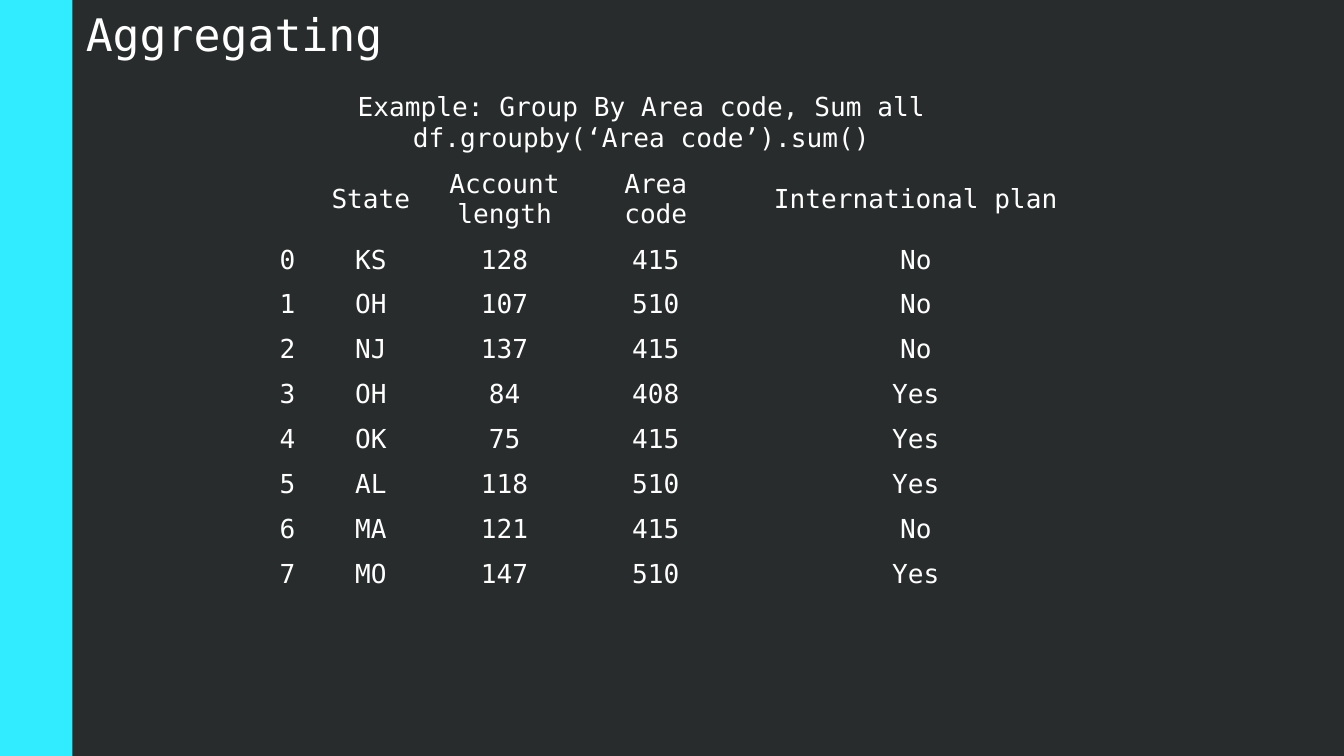
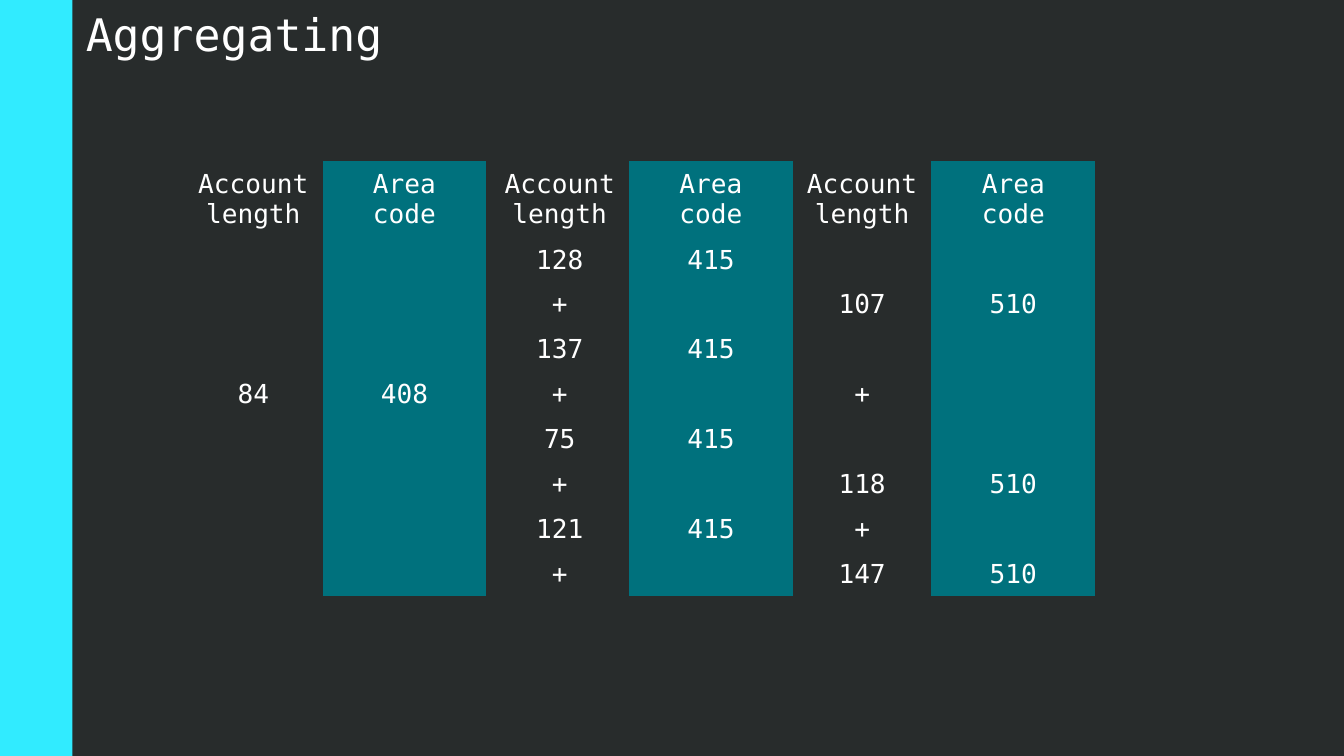
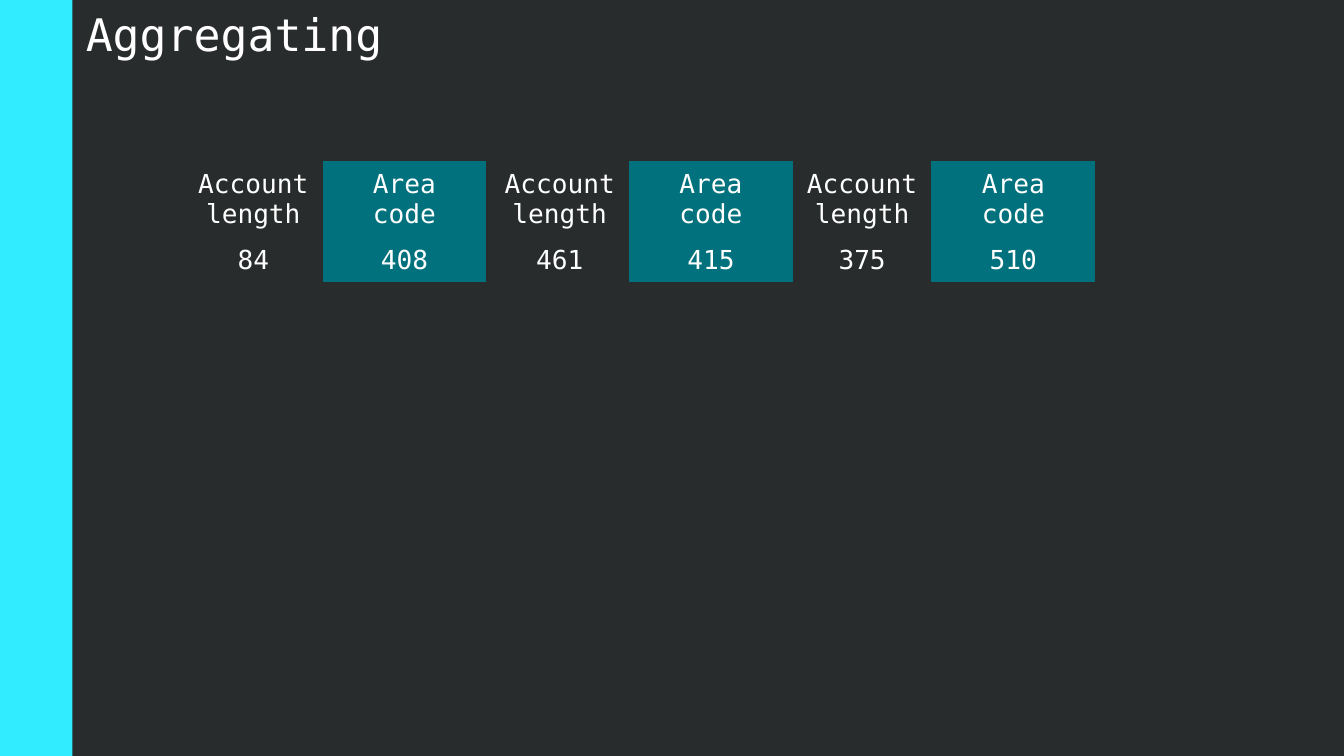
from lxml import etree
from pptx import Presentation
from pptx.dml.color import RGBColor
from pptx.enum.shapes import MSO_SHAPE
from pptx.enum.text import MSO_ANCHOR, MSO_AUTO_SIZE, PP_ALIGN
from pptx.oxml.ns import qn
from pptx.util import Inches, Pt

RECT = MSO_SHAPE.RECTANGLE
LEFT, CENTER = PP_ALIGN.LEFT, PP_ALIGN.CENTER
MIDDLE = MSO_ANCHOR.MIDDLE
GROW = MSO_AUTO_SIZE.SHAPE_TO_FIT_TEXT

DARK = RGBColor(0x28, 0x2C, 0x2C)
CYAN = RGBColor(0x31, 0xEB, 0xFF)
TEAL = RGBColor(0x00, 0x71, 0x7D)
WHITE = RGBColor(0xFF, 0xFF, 0xFF)
FONT = "DejaVu Sans Mono"
TITLE_SIZE, BODY_SIZE = 24, 14
NO_STYLE_NO_GRID = "{2D5ABB26-0587-4C30-8999-92F81FD0307C}"

SLIDE_W = 10
SLIDE_H = SLIDE_W * 9 / 16
BAND_W = 0.54
TABLE_TOP = 1.2
MIN_ROW_H = 0.25
HEADER_H, ROW_H = 0.57, 1 / 3
LENGTH_W, AREA_W = 1.03, 1.22

CUSTOMER_HEADER = ["", "State", "Account length", "Area code", "International plan"]
CUSTOMERS = [
    ("KS", 128, 415, "No"),
    ("OH", 107, 510, "No"),
    ("NJ", 137, 415, "No"),
    ("OH", 84, 408, "Yes"),
    ("OK", 75, 415, "Yes"),
    ("AL", 118, 510, "Yes"),
    ("MA", 121, 415, "No"),
    ("MO", 147, 510, "Yes"),
]
GROUP_HEADER = ["Account length", "Area code"]
GROUPS = [
    (415, 461, 3.65, {1, 3, 5, 7}),
    (510, 375, 5.9, {3, 6}),
    (408, 84, 1.37, set()),
]


def write_text(tf, text, size=BODY_SIZE, align=LEFT):
    for i, line in enumerate(text.split("\n")):
        p = tf.add_paragraph() if i else tf.paragraphs[0]
        p.alignment = align
        if not line:
            etree.SubElement(p._p, qn("a:endParaRPr"), sz=str(size * 100))
            continue
        r = p.add_run()
        r.text = line
        r.font.size = Pt(size)
        r.font.name = FONT
        r.font.color.rgb = WHITE


def add_text(s, text, left, top, width, height, **fmt):
    sp = s.shapes.add_textbox(Inches(left), Inches(top), Inches(width), Inches(height))
    tf = sp.text_frame
    tf.word_wrap = True
    tf.auto_size = GROW
    write_text(tf, text, **fmt)


def add_table(s, rows, left, widths, filled_cols=()):
    height = Inches(HEADER_H + ROW_H * (len(rows) - 1))
    frame = s.shapes.add_table(len(rows), len(widths), Inches(left), Inches(TABLE_TOP),
                               Inches(sum(widths)), height)
    table = frame.table
    table.first_row = table.horz_banding = False
    table._tbl.tblPr.find(qn("a:tableStyleId")).text = NO_STYLE_NO_GRID
    for column, width in zip(table.columns, widths):
        column.width = Inches(width)
    for row, values in zip(table.rows, rows):
        row.height = Inches(MIN_ROW_H)
        for col, (cell, value) in enumerate(zip(row.cells, values)):
            cell.vertical_anchor = MIDDLE
            write_text(cell.text_frame, str(value), align=CENTER)
            if col in filled_cols:
                cell.fill.solid()
                cell.fill.fore_color.rgb = TEAL
            else:
                cell.fill.background()
    frame.height = height


def add_group_table(s, left, rows):
    add_table(s, [GROUP_HEADER] + rows, left, [LENGTH_W, AREA_W], filled_cols=(1,))


def group_rows(area, plus_rows):
    rows = []
    for i, (_, length, code, _) in enumerate(CUSTOMERS):
        if code == area:
            rows.append((length, code))
        else:
            rows.append(("+" if i in plus_rows else "", ""))
    return rows


def add_slide(prs, title):
    s = prs.slides.add_slide(prs.slide_layouts[6])
    s.background.fill.solid()
    s.background.fill.fore_color.rgb = DARK
    band = s.shapes.add_shape(RECT, 0, 0, Inches(BAND_W), Inches(SLIDE_H))
    band.shadow.inherit = False
    band.fill.solid()
    band.fill.fore_color.rgb = CYAN
    band.line.fill.background()
    add_text(s, title, BAND_W, 0, SLIDE_W - BAND_W, 0.5, size=TITLE_SIZE)
    return s


def main():
    prs = Presentation()
    prs.slide_width, prs.slide_height = Inches(SLIDE_W), Inches(SLIDE_H)
    data, split, summed = [add_slide(prs, "Aggregating") for _ in range(3)]

    customer_rows = [(i, *customer) for i, customer in enumerate(CUSTOMERS)]
    add_table(data, [CUSTOMER_HEADER] + customer_rows, 1.98,
              [0.3, 0.96, LENGTH_W, AREA_W, 2.65])
    add_text(data, "Example: Group By Area code, Sum all\ndf.groupby(‘Area code’).sum()",
             1.98, 0.62, 5.59, 0.57, align=CENTER)

    for area, total, left, plus_rows in GROUPS:
        add_group_table(split, left, group_rows(area, plus_rows))
        add_group_table(summed, left, [(total, area)])

    prs.save("out.pptx")


if __name__ == "__main__":
    main()
